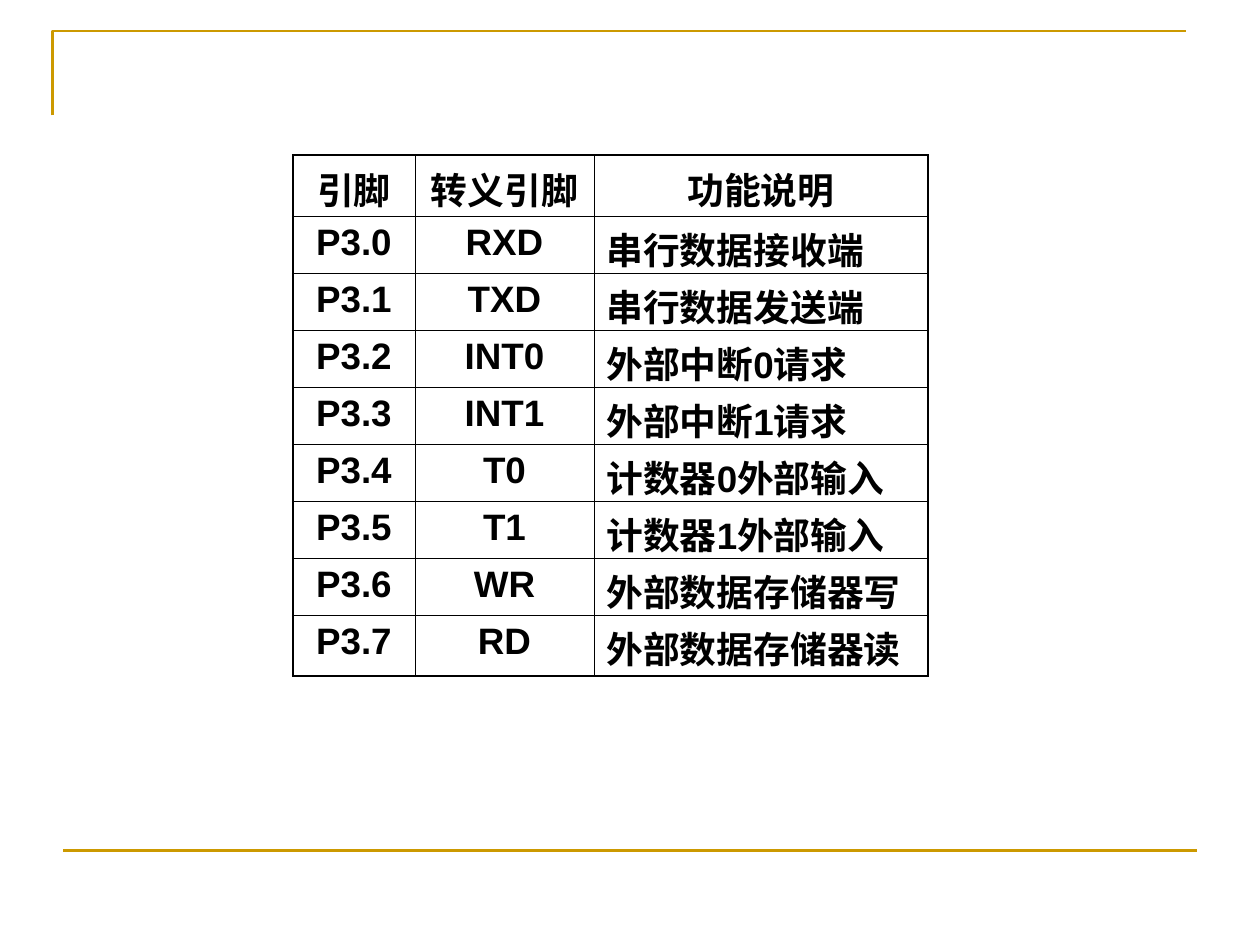
from lxml.etree import SubElement
from pptx import Presentation
from pptx.dml.color import RGBColor
from pptx.enum.shapes import MSO_CONNECTOR
from pptx.enum.text import MSO_ANCHOR, PP_ALIGN
from pptx.oxml.ns import qn
from pptx.util import Inches, Pt

COLS, ROWS = 100, 75
GOLD, BLACK, WHITE = "CC9900", "000000", "FFFFFF"
THIN, THICK = 0.45, 1.08

HEADER = ("引脚", "转义引脚", "功能说明")
PIN_FUNCTIONS = [
    ("RXD", "串行数据接收端"),
    ("TXD", "串行数据发送端"),
    ("INT0", "外部中断0请求"),
    ("INT1", "外部中断1请求"),
    ("T0", "计数器0外部输入"),
    ("T1", "计数器1外部输入"),
    ("WR", "外部数据存储器写"),
    ("RD", "外部数据存储器读"),
]


def rgb(value):
    return RGBColor.from_string(value)


class Deck:
    """Draws styled elements on the current slide, placed on a 100 by 75 grid."""

    def __init__(self, font="Arial", size=21):
        self.prs = Presentation()
        self.prs.slide_width, self.prs.slide_height = Inches(10), Inches(7.5)
        self.font, self.size = font, size
        self.s = self.prs.slides.add_slide(self.prs.slide_layouts[6])

    def x(self, cols):
        return round(self.prs.slide_width * cols / COLS)

    def y(self, rows):
        return round(self.prs.slide_height * rows / ROWS)

    def stroke(self, sp):
        sp.line.color.rgb = rgb(GOLD)
        sp.line.width = Pt(1.5)

    def outline(self, *points):
        start, *rest = [(self.x(c), self.y(r)) for c, r in points]
        builder = self.s.shapes.build_freeform(*start)
        builder.add_line_segments(rest, close=False)
        sp = builder.convert_to_shape()
        sp.shadow.inherit = False
        sp.fill.background()
        self.stroke(sp)

    def line(self, c1, r1, c2, r2):
        cx = self.s.shapes.add_connector(
            MSO_CONNECTOR.STRAIGHT, self.x(c1), self.y(r1), self.x(c2), self.y(r2))
        self.stroke(cx)
        SubElement(cx._element.spPr, qn("a:effectLst"))

    def border(self, cell, side, width):
        ln = SubElement(cell._tc.get_or_add_tcPr(), qn(f"a:ln{side}"), w=str(Pt(width)))
        fill = SubElement(ln, qn("a:solidFill"))
        SubElement(fill, qn("a:srgbClr"), val=BLACK)

    def cell(self, cell, text, centred, edges):
        for side, outer in edges.items():
            self.border(cell, side, THICK if outer else THIN)
        cell.fill.solid()
        cell.fill.fore_color.rgb = rgb(WHITE)
        cell.margin_bottom = self.y(0.1 if edges["T"] or edges["B"] else -0.2)
        p = cell.text_frame.paragraphs[0]
        p.alignment = PP_ALIGN.CENTER if centred else PP_ALIGN.LEFT
        r = p.add_run()
        r.text = text
        r.font.name, r.font.size, r.font.bold = self.font, Pt(self.size), True
        r.font.color.rgb = rgb(BLACK)

    def table(self, col, row, widths, heights, data):
        shape = self.s.shapes.add_table(
            len(heights), len(widths), self.x(col), self.y(row),
            self.x(sum(widths)), self.y(sum(heights)))
        tbl = shape.table
        tbl.first_row = tbl.horz_banding = False
        for column, width in zip(tbl.columns, widths):
            column.width = self.x(width)
        for line, height in zip(tbl.rows, heights):
            line.height = self.y(height)
        last_row, last_col = len(heights) - 1, len(widths) - 1
        for i, values in enumerate(data):
            for j, text in enumerate(values):
                edges = {"L": j == 0, "R": j == last_col, "T": i == 0, "B": i == last_row}
                cell = tbl.cell(i, j)
                cell.vertical_anchor = MSO_ANCHOR.TOP if i else MSO_ANCHOR.MIDDLE
                self.cell(cell, text, i == 0 or j < last_col, edges)


def main():
    deck = Deck()
    deck.outline((4.17, 9.15), (4.17, 2.46), (94.15, 2.46))
    deck.line(5, 67.5, 95, 67.5)
    pins = [(f"P3.{n}", *row) for n, row in enumerate(PIN_FUNCTIONS)]
    deck.table(23.24, 12.3, (9.7, 14.2, 26.5), (4.84, *[4.52] * 7, 4.84), [HEADER, *pins])
    deck.prs.save("out.pptx")


if __name__ == "__main__":
    main()
